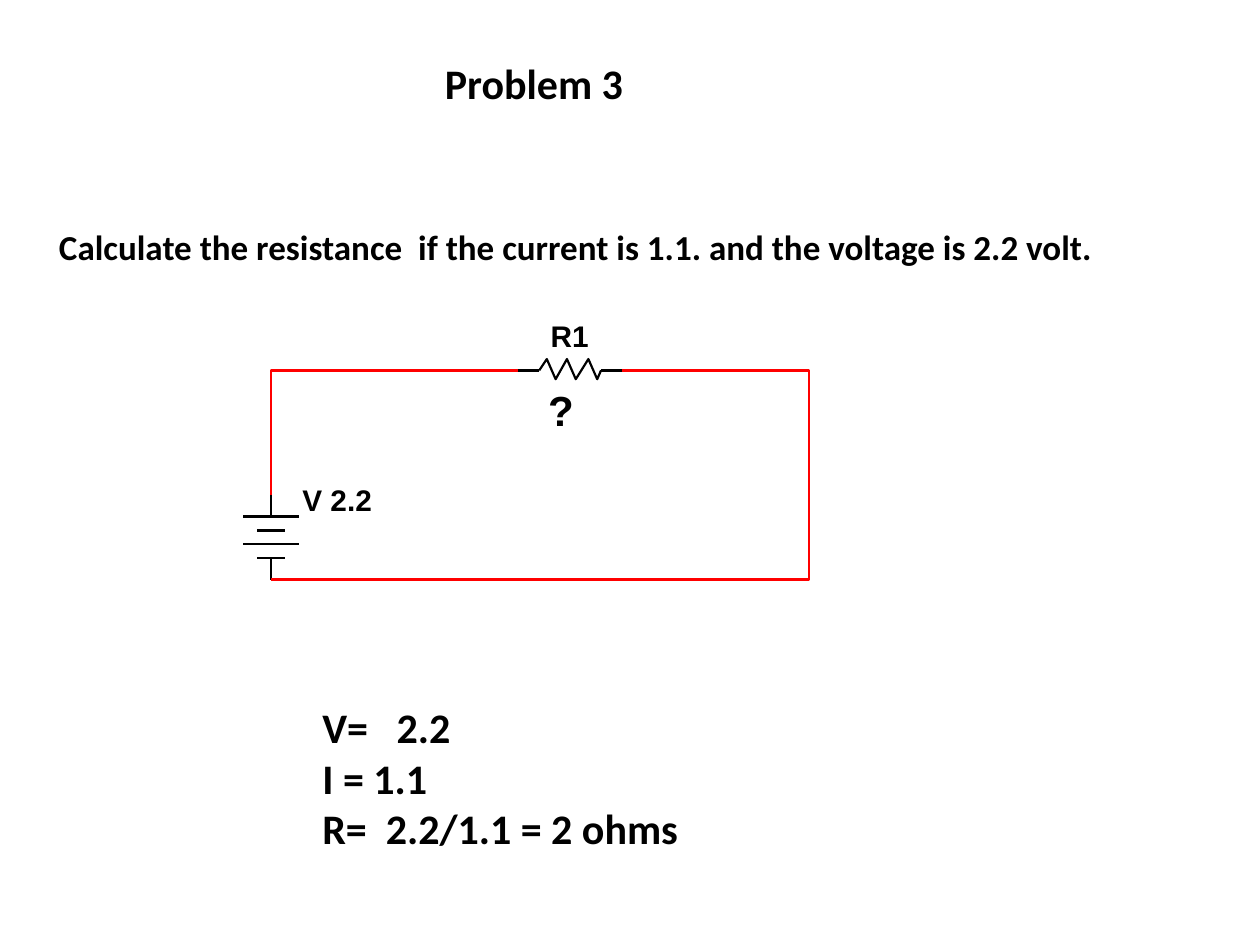
"""Build a slide that solves a one-resistor circuit with Ohm's law."""
from lxml.etree import SubElement
from pptx import Presentation
from pptx.dml.color import RGBColor
from pptx.enum.shapes import MSO_CONNECTOR as Connector
from pptx.enum.text import MSO_ANCHOR as Anchor, MSO_AUTO_SIZE as AutoSize, PP_ALIGN as Align
from pptx.oxml.ns import qn
from pptx.util import Inches, Pt

COLORS = {"ink": "000000", "wire": "FF0000"}
LINE_WIDTH = Pt(1.25)

deck = Presentation()
deck.slide_width, deck.slide_height = Inches(10), Inches(7.5)
slide = deck.slides.add_slide(deck.slide_layouts[5])
shapes = slide.shapes


def write(holder, box, lines, size, font="Calibri", inset=None, wrap=False):
    holder.left, holder.top, holder.width, holder.height = map(Inches, box)
    frame = holder.text_frame
    frame.word_wrap = wrap
    frame.auto_size = AutoSize.NONE
    frame.vertical_anchor = Anchor.TOP
    if inset is not None:
        frame.margin_left = frame.margin_right = Inches(inset)
        frame.margin_top = frame.margin_bottom = Inches(inset)
    for number, line in enumerate(lines):
        paragraph = frame.add_paragraph() if number else frame.paragraphs[0]
        paragraph.alignment = Align.LEFT
        run = paragraph.add_run()
        run.text = line
        run.font.name, run.font.size, run.font.bold = font, Pt(size), True
        run.font.color.rgb = RGBColor.from_string(COLORS["ink"])


def trace(points, color):
    corners = [(Inches(x), Inches(y)) for x, y in points]
    if len(corners) == 2:
        stroke = shapes.add_connector(Connector.STRAIGHT, *corners[0], *corners[1])
        SubElement(stroke._element.spPr, qn("a:effectLst"))
    else:
        builder = shapes.build_freeform(*corners[0])
        builder.add_line_segments(corners[1:], close=False)
        stroke = builder.convert_to_shape()
        stroke.fill.background()
        stroke.shadow.inherit = False
    stroke.line.color.rgb = RGBColor.from_string(COLORS[color])
    stroke.line.width = LINE_WIDTH


left, right, top, bottom = 2.15, 6.42, 2.94, 4.6
lead = 0.17
plate_top, plate_gap = 4.1, 0.11
plate_halves = [0.22, 0.11, 0.22, 0.11]
plate_bottom = plate_top + plate_gap * (len(plate_halves) - 1)
resistor_start, resistor_end = 4.28, 4.77
crest, trough = 2.85, 3.01
zigzag = [(4.34, crest), (4.41, trough), (4.5, crest),
          (4.57, trough), (4.67, crest), (4.74, trough)]

for row, half in enumerate(plate_halves):
    y = plate_top + row * plate_gap
    trace([(left - half, y), (left + half, y)], "ink")
trace([(left, plate_bottom), (left, bottom)], "ink")
trace([(left, plate_top), (left, plate_top - lead)], "ink")

trace([(resistor_start, top), *zigzag, (resistor_end, top)], "ink")
trace([(resistor_end, top), (resistor_end + lead, top)], "ink")
trace([(resistor_start, top), (resistor_start - lead, top)], "ink")

trace([(resistor_start - lead, top), (left, top), (left, plate_top - lead)], "wire")
trace([(resistor_end + lead, top), (right, top), (right, bottom), (left, bottom)], "wire")

circuit_labels = [
    ("V 2.2", (2.4, 3.82, 0.63, 0.29), 17),
    ("R1", (4.37, 2.52, 0.46, 0.35), 17),
    ("?", (4.35, 3.05, 0.2, 0.4), 24),
]
for label, box, size in circuit_labels:
    write(shapes.add_textbox(0, 0, 0, 0), box, [label], size, "Arial", 0)

question = "Calculate the resistance  if the current is 1.1. and the voltage is 2.2 volt."
solution = ["V=   2.2", "I = 1.1", "R=  2.2/1.1 = 2 ohms"]
write(shapes.add_textbox(0, 0, 0, 0), (0.37, 1.74, 8.46, 0.44), [question], 20)
write(shapes.add_textbox(0, 0, 0, 0), (2.46, 5.52, 3.05, 1.7), solution, 24)
write(shapes.title, (3.43, 0.41, 7.81, 0.5), ["Problem 3"], 24, wrap=True)

deck.save("out.pptx")
